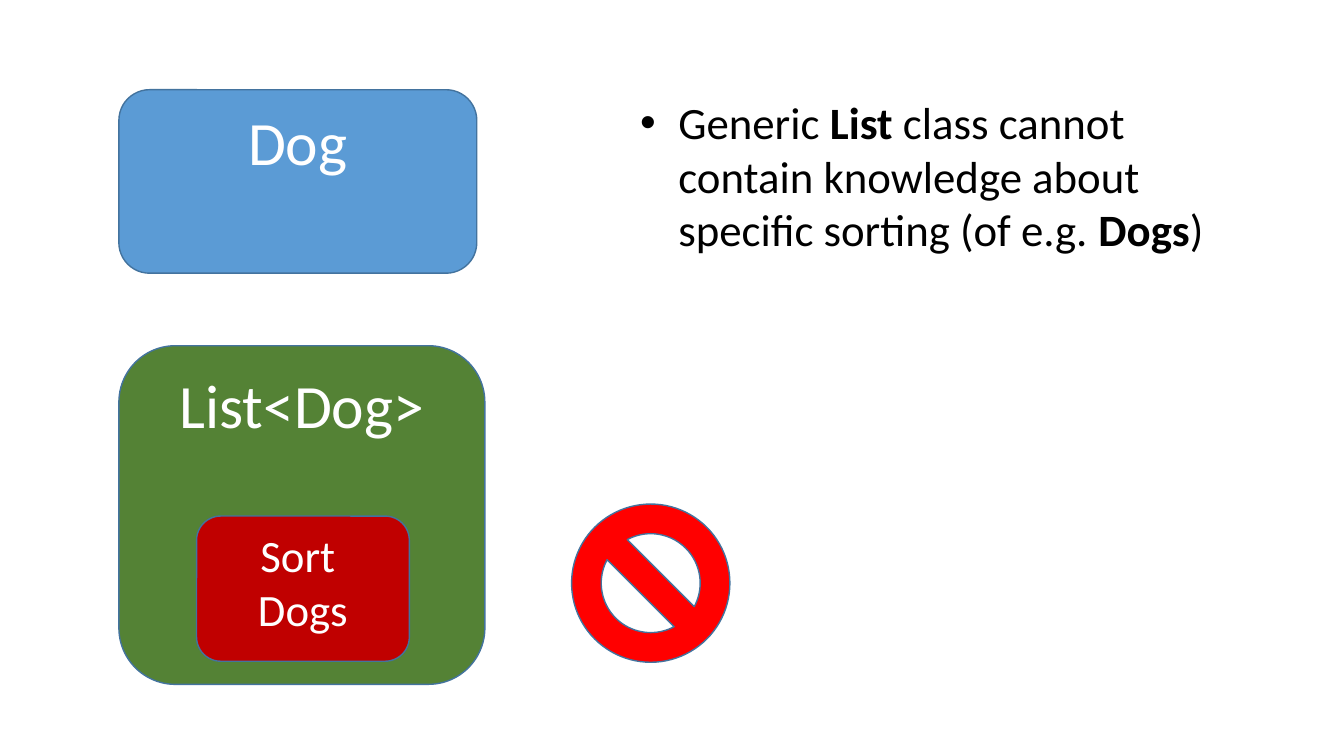
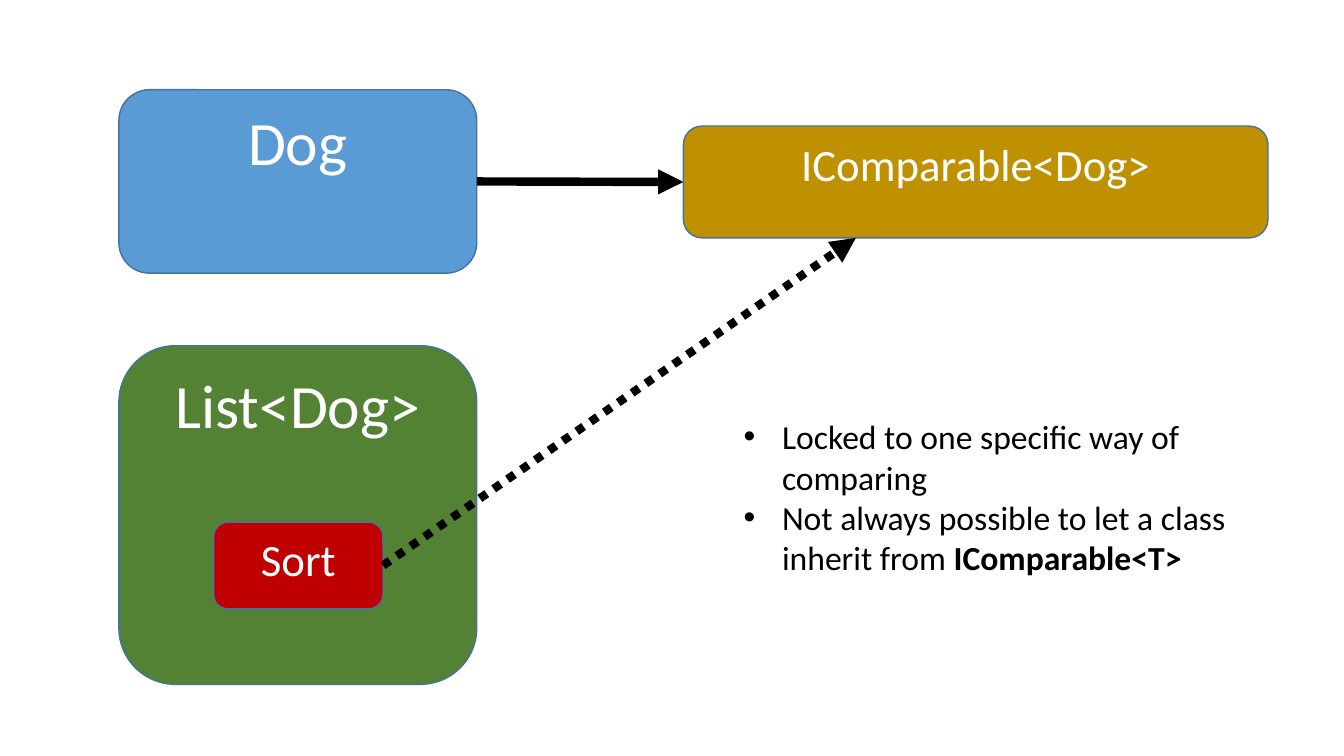
"""Build two slides on sorting a generic list of dogs."""
from dataclasses import dataclass
from pptx import Presentation
from pptx.dml.color import RGBColor
from pptx.enum.dml import MSO_LINE
from pptx.enum.shapes import MSO_CONNECTOR, MSO_SHAPE
from pptx.enum.text import MSO_ANCHOR, MSO_AUTO_SIZE, PP_ALIGN
from pptx.oxml.ns import qn
from pptx.util import Inches, Pt


@dataclass(frozen=True)
class Theme:
    font: str = "Calibri"
    text: str = "000000"
    label: str = "FFFFFF"
    outline: str = "43739E"
    dog: str = "5B9BD5"
    generic: str = "548235"
    sort: str = "C00000"
    interface: str = "BF9000"
    forbidden: str = "FF0000"
    large: int = 44
    medium: int = 32
    small: int = 24
    arrow: int = 6
    hanging: float = 0.38


THEME = Theme()
WIDTH, HEIGHT = Inches(13.33), Inches(7.5)

# Boxes are left, top, width, height in percent of the slide.
LEFT = 8.85
DOG_BOX = (LEFT, 11.87, 26.63, 24.27)
WIDE_LIST_BOX = (LEFT, 45.73, 27.23, 44.8)
LIST_BOX = (LEFT, 45.73, 26.63, 44.8)
SORT_DOGS_BOX = (14.63, 68.27, 15.83, 19.2)
SORT_BOX = (15.9, 69.07, 12.6, 11.47)
COMPARABLE_BOX = (50.85, 16.67, 43.5, 14.8)
FORBIDDEN_BOX = (42.53, 66.67, 11.78, 20.93)
PROBLEM_BOX = (46.88, 11.87, 44.63, 22.93)
LIMITS_BOX = (54.6, 54.4, 37.65, 22.93)
ARROW_TARGET_SHARE = 0.295
LEFT_SITE, RIGHT_SITE = 1, 3

DOG = (["Dog"], DOG_BOX, THEME.dog, THEME.large)
PROBLEM_LABELS = [
    (["List<Dog>"], WIDE_LIST_BOX, THEME.generic, THEME.large),
    DOG,
    (["Sort ", "Dogs"], SORT_DOGS_BOX, THEME.sort, THEME.medium),
]
COMPARABLE_LABELS = [
    (["List<Dog>"], LIST_BOX, THEME.generic, THEME.large),
    DOG,
    (["Sort"], SORT_BOX, THEME.sort, THEME.medium),
    (["IComparable<Dog>"], COMPARABLE_BOX, THEME.interface, THEME.medium),
]
PROBLEM = [[("Generic ", False), ("List", True),
            (" class cannot contain knowledge about specific sorting (of e.g. ", False),
            ("Dogs", True), (")", False)]]
LIMITS = [[("Locked to one specific way of comparing", False)],
          [("Not always possible to let a class inherit from ", False),
           ("IComparable<T> ", True)]]


def place(box):
    sizes = (WIDTH, HEIGHT, WIDTH, HEIGHT)
    return [round(size * percent / 100) for size, percent in zip(sizes, box)]


def write(text_frame, paragraphs, size, color):
    for index, pieces in enumerate(paragraphs):
        paragraph = text_frame.paragraphs[0] if index == 0 else text_frame.add_paragraph()
        for text, bold in pieces:
            run = paragraph.add_run()
            run.text = text
            run.font.name = THEME.font
            run.font.size = Pt(size)
            run.font.bold = bold
            run.font.color.rgb = RGBColor.from_string(color)


def add_block(slide, kind, box, fill):
    shape = slide.shapes.add_shape(kind, *place(box))
    shape.shadow.inherit = False
    shape.fill.solid()
    shape.fill.fore_color.rgb = RGBColor.from_string(fill)
    shape.line.color.rgb = RGBColor.from_string(THEME.outline)
    shape.line.width = Pt(1)
    return shape


def add_label(slide, lines, box, fill, size):
    shape = add_block(slide, MSO_SHAPE.ROUNDED_RECTANGLE, box, fill)
    text_frame = shape.text_frame
    text_frame.vertical_anchor = MSO_ANCHOR.TOP
    write(text_frame, [[(line, False)] for line in lines], size, THEME.label)
    for paragraph in text_frame.paragraphs:
        paragraph.alignment = PP_ALIGN.CENTER
    return shape


def add_bullets(slide, paragraphs, box, size):
    text_frame = slide.shapes.add_textbox(*place(box)).text_frame
    text_frame.word_wrap = True
    text_frame.auto_size = MSO_AUTO_SIZE.SHAPE_TO_FIT_TEXT
    write(text_frame, paragraphs, size, THEME.text)
    indent = Inches(THEME.hanging)
    for paragraph in text_frame.paragraphs:
        properties = paragraph._p.get_or_add_pPr()
        properties.set("marL", str(indent))
        properties.set("indent", str(-indent))
        font = properties.makeelement(qn("a:buFont"), {"typeface": "Arial"})
        bullet = properties.makeelement(qn("a:buChar"), {"char": "•"})
        properties.extend([font, bullet])


def add_arrow(slide, source, dash=None):
    connector = slide.shapes.add_connector(MSO_CONNECTOR.STRAIGHT, 0, 0, 0, 0)
    connector.begin_connect(source, RIGHT_SITE)
    connector.line.color.rgb = RGBColor.from_string(THEME.text)
    connector.line.width = Pt(THEME.arrow)
    if dash is not None:
        connector.line.dash_style = dash
    line = connector.line._get_or_add_ln()
    line.append(line.makeelement(qn("a:tailEnd"), {"type": "triangle"}))
    properties = connector._element.spPr
    properties.append(properties.makeelement(qn("a:effectLst"), {}))
    return connector


def build_problem(slide):
    for label in PROBLEM_LABELS:
        add_label(slide, *label)
    add_bullets(slide, PROBLEM, PROBLEM_BOX, THEME.medium)
    add_block(slide, MSO_SHAPE.NO_SYMBOL, FORBIDDEN_BOX, THEME.forbidden)


def build_comparable(slide):
    _, dog, sort, comparable = [add_label(slide, *label) for label in COMPARABLE_LABELS]
    add_arrow(slide, dog).end_connect(comparable, LEFT_SITE)
    dotted = add_arrow(slide, sort, MSO_LINE.ROUND_DOT)
    dotted.end_x = comparable.left + round(comparable.width * ARROW_TARGET_SHARE)
    dotted.end_y = comparable.top + comparable.height
    add_bullets(slide, LIMITS, LIMITS_BOX, THEME.small)


presentation = Presentation()
presentation.slide_width, presentation.slide_height = WIDTH, HEIGHT
blank_layout = presentation.slide_layouts[6]
for build in (build_problem, build_comparable):
    build(presentation.slides.add_slide(blank_layout))
presentation.save("out.pptx")
